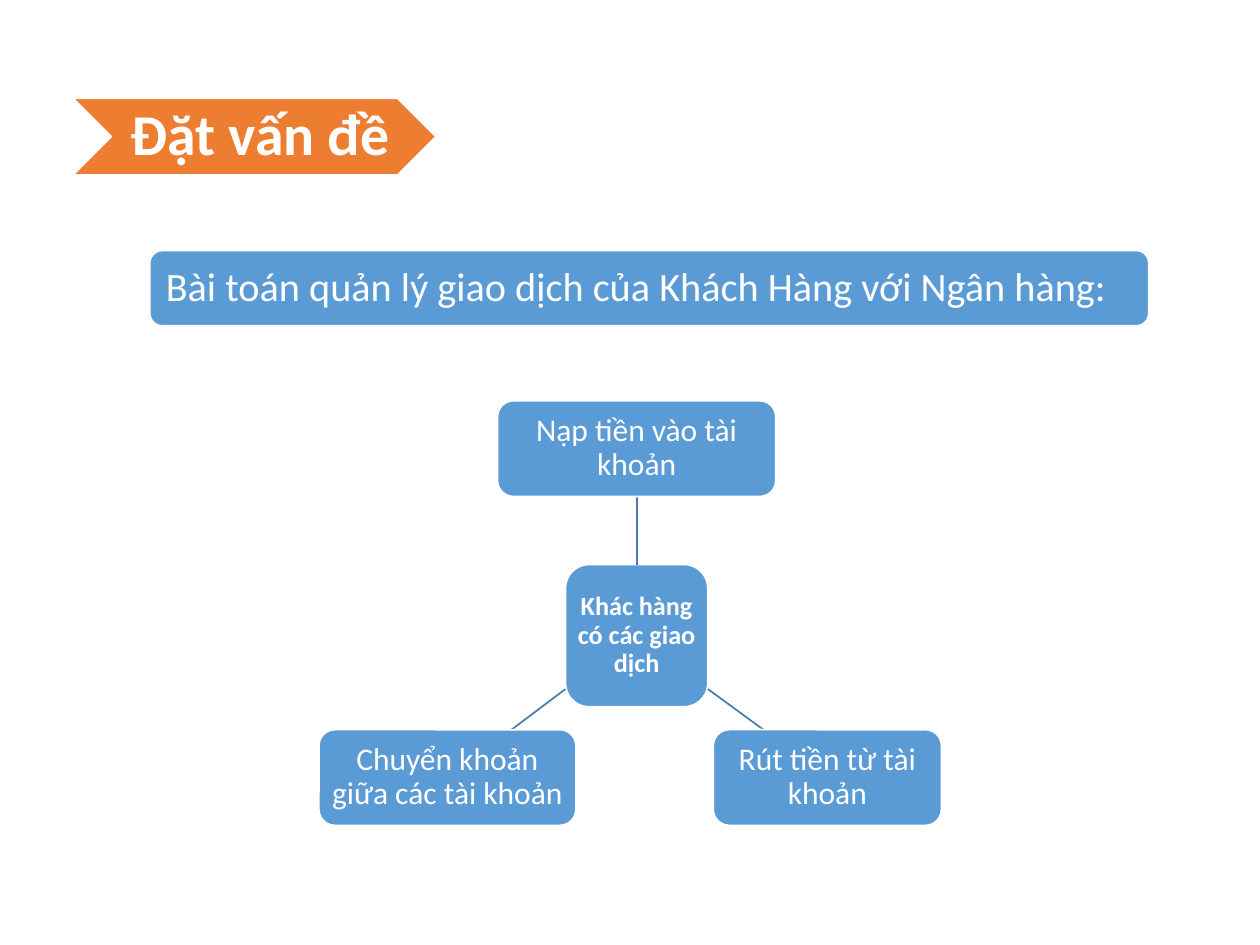
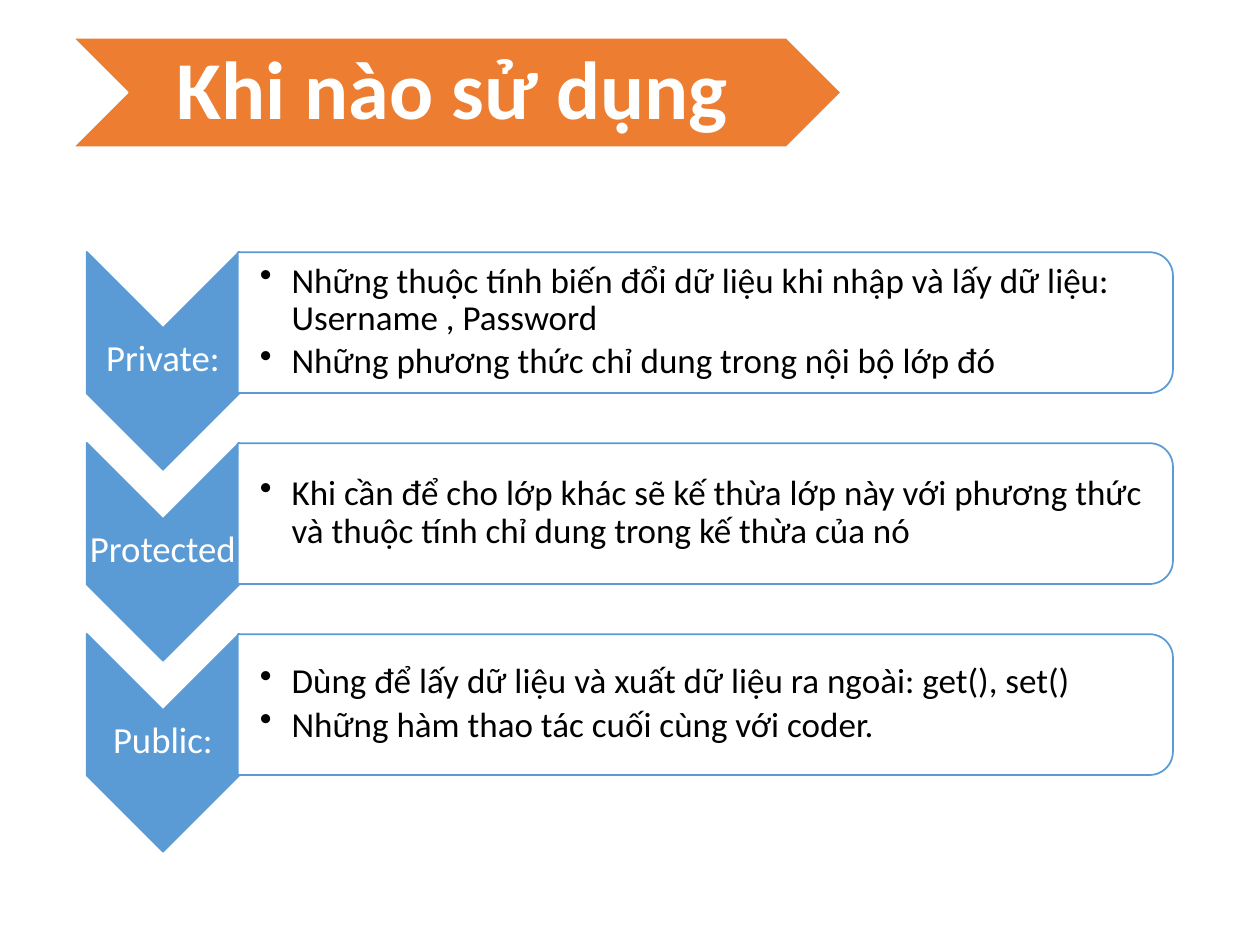
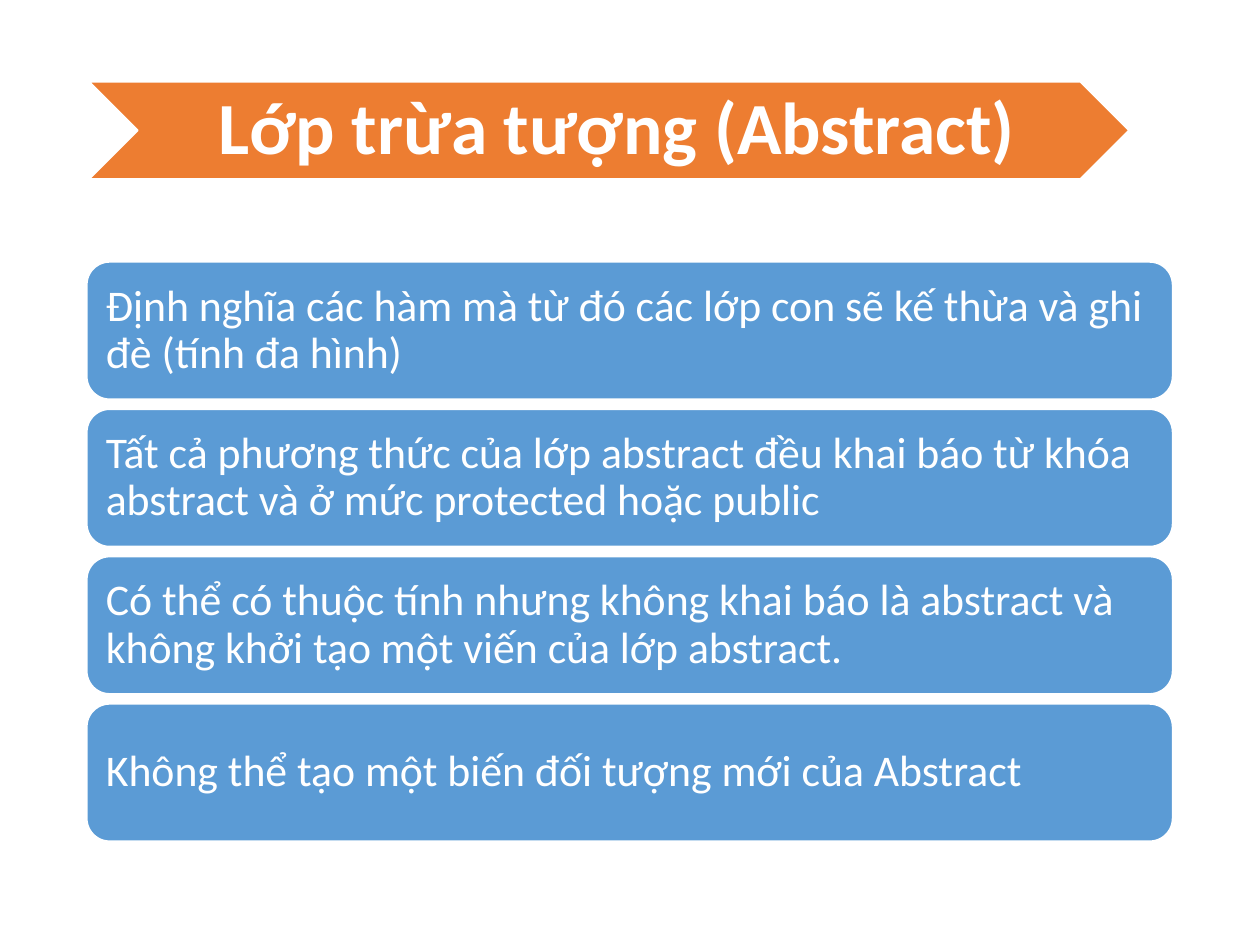
from dataclasses import dataclass

from lxml import etree
from pptx import Presentation
from pptx.dml.color import RGBColor
from pptx.enum.shapes import MSO_CONNECTOR, MSO_SHAPE
from pptx.enum.text import MSO_ANCHOR, PP_ALIGN
from pptx.oxml.ns import qn
from pptx.util import Cm, Pt

CHEVRON = MSO_SHAPE.CHEVRON
ROUNDED = MSO_SHAPE.ROUNDED_RECTANGLE
TOP_ROUNDED = MSO_SHAPE.ROUND_2_SAME_RECTANGLE
STRAIGHT = MSO_CONNECTOR.STRAIGHT
MIDDLE = MSO_ANCHOR.MIDDLE
LEFT, CENTER = PP_ALIGN.LEFT, PP_ALIGN.CENTER


@dataclass(frozen=True)
class Theme:
    font: str = "Calibri"
    orange: RGBColor = RGBColor(0xED, 0x7D, 0x31)
    blue: RGBColor = RGBColor(0x5B, 0x9B, 0xD5)
    spoke: RGBColor = RGBColor(0x49, 0x7C, 0xAB)
    white: RGBColor = RGBColor(0xFF, 0xFF, 0xFF)
    black: RGBColor = RGBColor(0x00, 0x00, 0x00)
    outline: Pt = Pt(1)
    hub_size: Pt = Pt(15)
    node_size: Pt = Pt(18)
    detail_size: Pt = Pt(20)
    level_size: Pt = Pt(21)
    problem_size: Pt = Pt(23)
    rule_size: Pt = Pt(25)


theme = Theme()


def add_block(slide, preset, box, fill, line):
    """Add a filled preset shape; box is left, top, width, height in cm."""
    block = slide.shapes.add_shape(preset, *map(Cm, box))
    block.shadow.inherit = False
    block.fill.solid()
    block.fill.fore_color.rgb = fill
    block.line.color.rgb = line
    block.line.width = theme.outline
    return block


def write(block, lines, size, insets, color=theme.white, align=CENTER, bold=False, bullets=False):
    """Fill a shape with paragraphs; insets are left, top, right, bottom in cm."""
    frame = block.text_frame
    frame.word_wrap = True
    frame.vertical_anchor = MIDDLE
    frame.margin_left, frame.margin_top, frame.margin_right, frame.margin_bottom = map(Cm, insets)
    frame.text = "\n".join(lines)
    for paragraph in frame.paragraphs:
        paragraph.alignment = align
        paragraph.line_spacing = 0.9
        if bullets:
            paragraph.space_after = Pt(3)
            properties = paragraph._p.get_or_add_pPr()
            properties.set("marL", str(Cm(0.64)))
            properties.set("indent", str(-Cm(0.64)))
            etree.SubElement(properties, qn("a:buChar"), char="•")
        for run in paragraph.runs:
            run.font.name = theme.font
            run.font.size = size
            run.font.bold = bold
            run.font.color.rgb = color


prs = Presentation()
prs.slide_width, prs.slide_height = Cm(25.4), Cm(19.05)
blank = prs.slide_layouts[6]

# Slides with their title arrows: text, box, type size, insets
titles = [
    ("Đặt vấn đề", (1.47, 1.98, 7.32, 1.55), Pt(33), (0.36, 0.13, 0.13, 0.13)),
    ("Khi nào sử dụng", (1.47, 0.76, 15.49, 2.21), Pt(47), (0.53, 0.18, 0.7, 0.18)),
    ("Lớp trừa tượng (Abstract)", (1.8, 1.65, 20.96, 1.96), Pt(42), (0.46, 0.15, 0.15, 0.15)),
]
slides = []
for title, box, size, insets in titles:
    slide = prs.slides.add_slide(blank)
    arrow = add_block(slide, CHEVRON, box, theme.orange, theme.white)
    write(arrow, [title], size, insets, bold=True)
    slides.append(slide)
problem_slide, access_slide, abstract_slide = slides

# Slide 1: customer transactions around a hub
hub = add_block(problem_slide, ROUNDED, (11.4, 11.38, 2.87, 2.87), theme.blue, theme.white)
write(hub, ["Khác hàng có các giao dịch"], theme.hub_size, (0.1,) * 4, bold=True)

# Each transaction: text, left, top, width, then the ends of its spoke
transactions = [
    ("Nạp tiền vào tài khoản", 10.03, 8.08, 5.61, (12.84, 11.38, 12.84, 10.01)),
    ("Rút tiền từ tài khoản", 14.38, 14.71, 4.6, (14.27, 13.89, 15.39, 14.71)),
    ("Chuyển khoản giữa các tài khoản", 6.43, 14.71, 5.18, (11.4, 13.89, 10.31, 14.71)),
]
for index, (text, left, top, width, ends) in enumerate(transactions):
    spoke = problem_slide.shapes.add_connector(STRAIGHT, *map(Cm, ends))
    spoke.line.color.rgb = theme.spoke
    spoke.line.width = theme.outline
    etree.SubElement(spoke._element.spPr, qn("a:effectLst"))
    transaction = add_block(problem_slide, ROUNDED, (left, top, width, 1.93), theme.blue, theme.white)
    write(transaction, [text], theme.node_size, (0.13,) * 4)
    if index == 0:
        spoke.begin_connect(hub, 0)
        spoke.end_connect(transaction, 2)

problem = add_block(problem_slide, ROUNDED, (3.02, 5.05, 20.14, 1.52), theme.blue, theme.white)
write(problem, ["Bài toán quản lý giao dịch của Khách Hàng với Ngân hàng:"],
      theme.problem_size, (0.25,) * 4, align=LEFT)

# Slide 2: access levels and when to use them
access_levels = [
    ("Private:", ["Những thuộc tính biến đổi dữ liệu khi nhập và lấy dữ liệu: Username , Password",
                  "Những phương thức chỉ dung trong nội bộ lớp đó"]),
    ("Protected", ["Khi cần để cho lớp khác sẽ kế thừa lớp này với phương thức "
                   "và thuộc tính chỉ dung trong kế thừa của nó"]),
    ("Public:", ["Dùng để lấy dữ liệu và xuất dữ liệu ra ngoài: get(), set()",
                 "Những hàm thao tác cuối cùng với coder."]),
]
for row, (level, uses) in enumerate(access_levels):
    shift = row * 3.85
    marker = add_block(access_slide, CHEVRON, (1.09, 5.74 + shift, 4.39, 3.07), theme.blue, theme.blue)
    marker.rotation = 90
    label = access_slide.shapes.add_textbox(*map(Cm, (1.75, 6.6 + shift, 3.07, 1.32)))
    write(label, [level], theme.level_size, (0.03,) * 4)
    panel = add_block(access_slide, TOP_ROUNDED, (12.8, -2.92 + shift, 2.84, 18.85), theme.white, theme.blue)
    panel.rotation = 90
    details = access_slide.shapes.add_textbox(*map(Cm, (4.83, 5.21 + shift, 18.69, 2.57)))
    write(details, uses, theme.detail_size, (0.41, 0.03, 0.03, 0.03),
          color=theme.black, align=LEFT, bullets=True)

# Slide 3: rules of abstract classes
abstract_rules = [
    "Định nghĩa các hàm mà từ đó các lớp con sẽ kế thừa và ghi đè (tính đa hình)",
    "Tất cả phương thức của lớp abstract đều khai báo từ khóa abstract và ở mức protected hoặc public",
    "Có thể có thuộc tính nhưng không khai báo là abstract và không khởi tạo một viến của lớp abstract.",
    "Không thể tạo một biến đối tượng mới của Abstract",
]
for row, text in enumerate(abstract_rules):
    rule = add_block(abstract_slide, ROUNDED, (1.75, 5.28 + row * 2.97, 21.89, 2.77), theme.blue, theme.white)
    write(rule, [text], theme.rule_size, (0.25,) * 4, align=LEFT)

prs.save("out.pptx")
